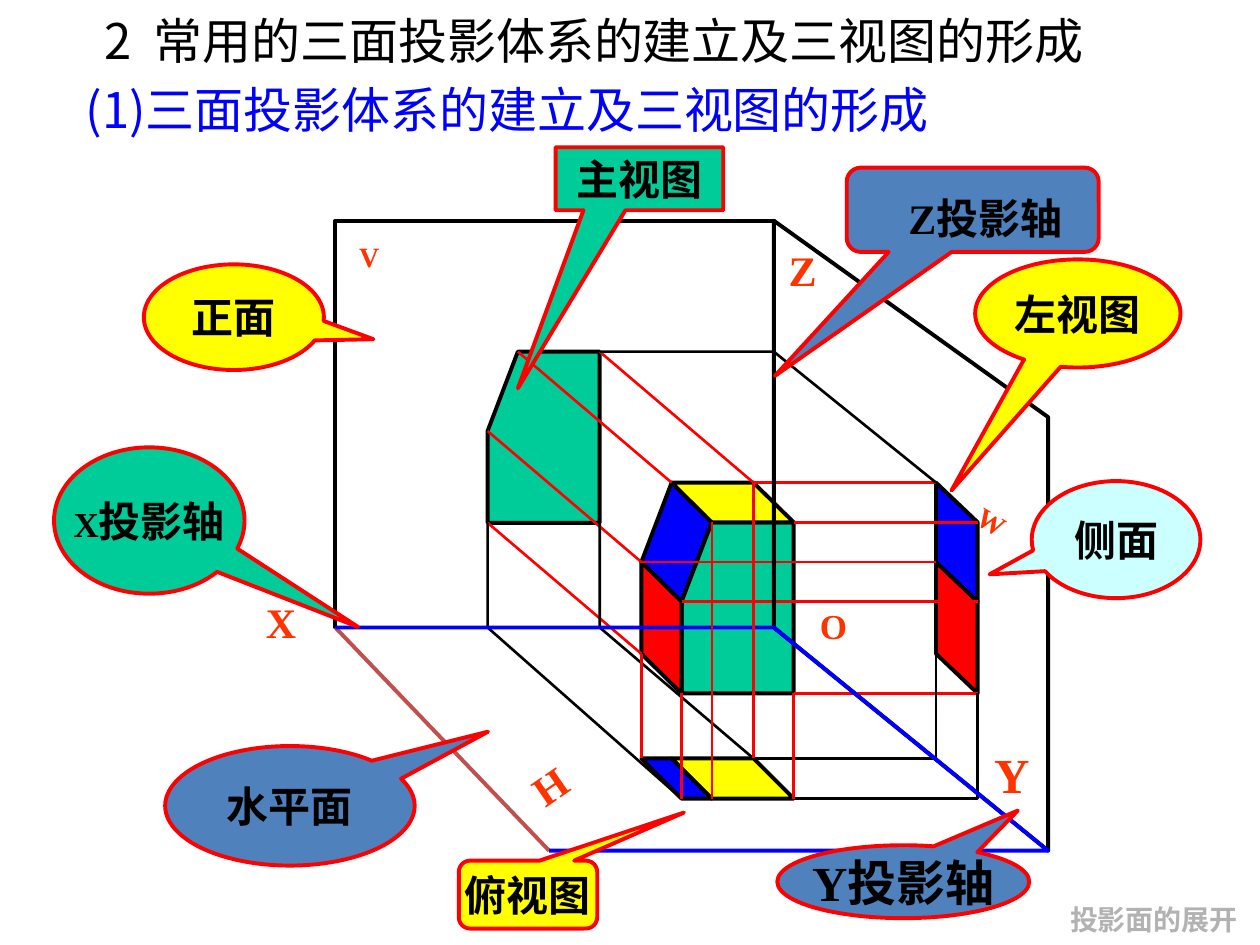
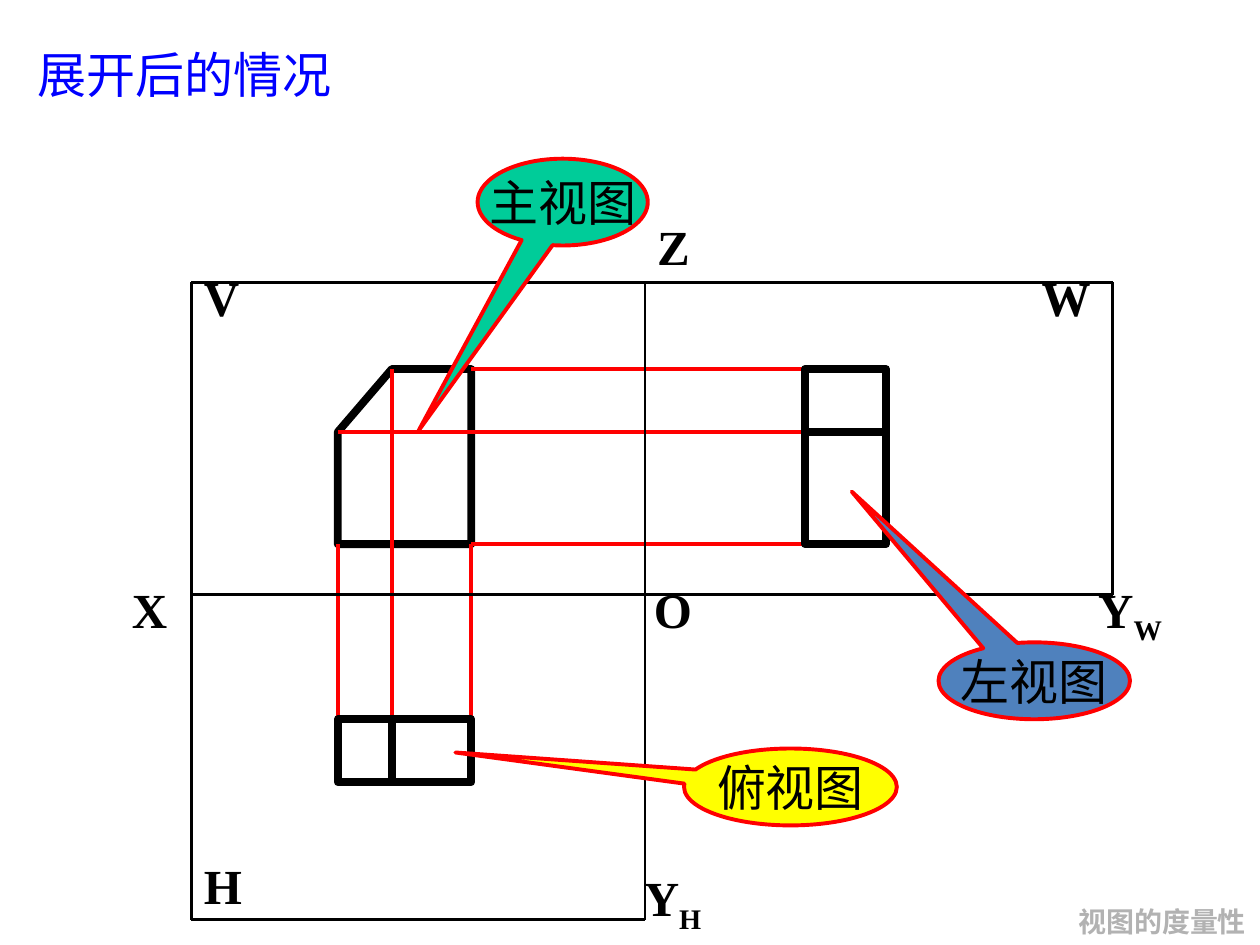
from dataclasses import dataclass

from lxml.etree import SubElement
from pptx import Presentation
from pptx.dml.color import RGBColor
from pptx.enum.shapes import MSO_CONNECTOR, MSO_SHAPE as Preset
from pptx.enum.text import MSO_ANCHOR as Anchor, PP_ALIGN as Align
from pptx.oxml.ns import qn
from pptx.util import Cm, Pt


@dataclass(frozen=True)
class Theme:
    black: str = "000000"
    red: str = "FF0000"
    blue: str = "0000FF"
    yellow: str = "FFFF00"
    green: str = "00CC99"
    steel: str = "4F81BD"
    pale: str = "CCFFFF"
    brick: str = "C0504D"
    orange: str = "FF3300"
    grey: str = "B2B2B2"
    sans: str = "Noto Sans CJK SC"
    serif: str = "Times New Roman"
    title: int = 28
    body: int = 24
    small: int = 20
    tiny: int = 16
    thin: float = 1.5
    edge: float = 2.25
    bold_edge: float = 4.5


T = Theme()
TITLE = dict(font=T.sans, size=T.title, bold=False)


def rgb(colour):
    return RGBColor.from_string(colour)


def add_run(paragraph, text, size, colour, font, bold, subscript=False):
    run = paragraph.add_run()
    run.text = text
    run.font.size = Pt(size)
    run.font.bold = bold
    run.font.name = font
    run.font.color.rgb = rgb(colour)
    properties = run._r.get_or_add_rPr()
    SubElement(properties, qn("a:ea")).set("typeface", T.sans)
    if subscript:
        properties.set("baseline", "-25000")


def write(shape, text, size=T.body, colour=T.black, font=T.serif, bold=True,
          align=Align.CENTER, anchor=Anchor.MIDDLE, wrap=False):
    """Fill a shape with text and return its paragraph for further runs."""
    frame = shape.text_frame
    frame.word_wrap = wrap
    frame.vertical_anchor = anchor
    paragraph = frame.paragraphs[0]
    paragraph.alignment = align
    add_run(paragraph, text, size, colour, font, bold)
    return paragraph


def textbox(slide, box, text, **style):
    shape = slide.shapes.add_textbox(*map(Cm, box))
    return shape, write(shape, text, **style)


def axis_label(slide, left, top, text, size=T.body, colour=T.orange,
               width=1.9, height=1.27, turn=0, align=Align.LEFT):
    shape, paragraph = textbox(
        slide, (left, top, width, height), text, size=size, colour=colour,
        align=align, anchor=Anchor.TOP, wrap=True)
    shape.rotation = turn
    return paragraph


def next_step(slide, left, top, text):
    textbox(slide, (left, top, 3.94, 0.94), text, size=T.tiny, colour=T.grey)


def stroke(shape, colour, width):
    shape.line.color.rgb = rgb(colour)
    shape.line.width = Pt(width)


def segment(slide, start, end, colour=T.red, width=T.thin):
    line = slide.shapes.add_connector(
        MSO_CONNECTOR.STRAIGHT, *map(Cm, (*start, *end)))
    stroke(line, colour, width)
    SubElement(line._element.spPr, qn("a:effectLst"))


def outline(slide, points, fill=None, colour=T.black, width=T.edge, close=True):
    first, *rest = [(Cm(x), Cm(y)) for x, y in points]
    builder = slide.shapes.build_freeform(*first)
    builder.add_line_segments(rest, close=close)
    shape = builder.convert_to_shape()
    shape.shadow.inherit = False
    stroke(shape, colour, width)
    if fill:
        shape.fill.solid()
        shape.fill.fore_color.rgb = rgb(fill)
    else:
        shape.fill.background()


def callout(slide, box, tip, fill, text=None, preset=Preset.OVAL_CALLOUT, **style):
    """Draw a callout whose tail ends at the point tip."""
    left, top, width, height = box
    shape = slide.shapes.add_shape(preset, *map(Cm, box))
    shape.adjustments[0] = (tip[0] - left) / width - 0.5
    shape.adjustments[1] = (tip[1] - top) / height - 0.5
    shape.shadow.inherit = False
    shape.fill.solid()
    shape.fill.fore_color.rgb = rgb(fill)
    stroke(shape, T.red, T.edge)
    return write(shape, text, **style) if text else None


def shifted(corners, dx, dy):
    return {name: (x + dx, y + dy) for name, (x, y) in corners.items()}


def draw_projection(slide):
    """Draw the solid between the planes V, H and W with its three views."""
    origin, x_end, y_end = (15.6, 12.65), (6.76, 12.65), (21.13, 17.15)
    z_end, h_corner = (15.6, 4.45), (11.07, 17.15)
    back = {"peak": (13.54, 9.73), "right": (15.19, 9.73), "slope": (12.93, 11.33),
            "foot": (12.93, 13.18), "foot_right": (15.19, 13.18)}
    front = shifted(back, 0.81, 0.8)
    main_view = shifted(back, -3.1, -2.64)

    def in_plan(corner, depth):
        return corner[0], 15.29 if depth is back else 16.1

    def in_side(name, depth):
        return 18.87 if depth is back else 19.71, depth[name][1]

    def face(names):
        """Quadrilateral joining two back corners to the same front corners."""
        a, b = names
        return [back[a], back[b], front[b], front[a]]

    profile = ("peak", "right", "foot_right", "foot", "slope")
    outline(slide, face(("peak", "slope")), T.blue)
    outline(slide, [front[n] for n in profile], T.green)
    outline(slide, face(("peak", "right")), T.yellow)
    outline(slide, face(("slope", "foot")), T.red)
    outline(slide, [main_view[n] for n in profile], T.green)
    outline(slide, [x_end, (x_end[0], z_end[1]), z_end, origin])

    for name in ("slope", "peak", "right", "foot"):
        segment(slide, back[name], main_view[name])
    for pair, fill in ((("peak", "right"), T.yellow), (("slope", "peak"), T.blue)):
        a, b = pair
        outline(slide, [in_plan(back[a], back), in_plan(back[b], back),
                        in_plan(front[b], front), in_plan(front[a], front)], fill)
    for pair, fill in ((("slope", "foot"), T.red), (("peak", "slope"), T.blue)):
        a, b = pair
        outline(slide, [in_side(a, back), in_side(b, back),
                        in_side(b, front), in_side(a, front)], fill)
    for name, depth in (("foot_right", front), ("slope", back), ("right", back),
                        ("slope", front), ("right", front)):
        segment(slide, depth[name], in_side(name, depth))

    foot, foot_right = main_view["foot"], main_view["foot_right"]
    plan_right = in_plan(back["right"], back)
    plan_front = in_plan(front["right"], front)
    side_back, side_front = in_side("foot", back), in_side("foot", front)
    for path in (
        [foot, (foot[0], origin[1]), in_plan(front["slope"], front)],
        [foot_right, (foot_right[0], origin[1]), plan_right],
        [main_view["right"], (origin[0], main_view["right"][1]), in_side("peak", back)],
        [side_back, (side_back[0], plan_right[1]), plan_right],
        [side_front, (side_front[0], plan_front[1]), plan_front],
    ):
        outline(slide, path, width=T.thin, close=False)

    outline(slide, [origin, y_end, (y_end[0], 8.41), z_end])
    segment(slide, h_corner, x_end, T.brick, T.edge)
    outline(slide, [x_end, origin, y_end, h_corner], colour=T.blue, close=False)
    for name, depth in (("foot_right", front), ("right", back), ("foot", back),
                        ("foot", front), ("peak", front)):
        segment(slide, depth[name], in_plan(depth[name], depth))


def projection_slide(slide):
    draw_projection(slide)
    textbox(slide, (1.6, 0.08, 20.75, 1.45),
            "2  常用的三面投影体系的建立及三视图的形成", **TITLE)
    textbox(slide, (1.32, 1.47, 17.81, 1.45),
            "(1)三面投影体系的建立及三视图的形成", colour=T.blue, **TITLE)

    axis_label(slide, 16.28, 12.07, "O", T.small)
    axis_label(slide, 6.99, 4.7, "V", T.tiny)
    callout(slide, (2.9, 5.33, 3.63, 2.13), (7.53, 6.84), T.yellow, "正面")
    callout(slide, (11.2, 2.97, 3.38, 1.27), (10.44, 7.83), T.green, "主视图",
            Preset.RECTANGULAR_CALLOUT)
    callout(slide, (19.66, 5.23, 4.14, 2.18), (19.18, 9.89), T.yellow, "左视图")
    callout(slide, (15.67, 17.04, 5.08, 1.47), (20.52, 16.34), T.steel, "Y投影轴",
            size=T.title)
    axis_label(slide, 19.79, 14.88, "Y", T.title)
    axis_label(slide, 15.65, 4.8, "Z")
    callout(slide, (17.07, 3.38, 5.08, 1.7), (15.62, 7.58), T.steel,
            preset=Preset.ROUNDED_RECTANGULAR_CALLOUT)
    textbox(slide, (18.06, 3.76, 3.61, 1.27), "Z投影轴", wrap=True)
    callout(slide, (20.8, 9.7, 3.4, 2.36), (19.95, 11.58), T.pale, "侧面")
    axis_label(slide, 19.46, 10.06, "W", T.tiny, width=1.09, height=0.94, turn=31.2)
    x_axis = callout(slide, (1.09, 9.02, 3.84, 2.95), (7.22, 12.64), T.green, "X",
                     size=T.small)
    add_run(x_axis, "投影轴", T.body, T.black, T.serif, True)
    axis_label(slide, 5.11, 11.91, "X")
    callout(slide, (3.33, 15.04, 5.03, 2.41), (9.84, 14.75), T.steel, "水平面")
    axis_label(slide, 10.44, 15.21, "H", width=1.27, turn=325.3, align=Align.CENTER)
    callout(slide, (9.25, 17.35, 2.79, 1.37), (13.79, 16.38), T.yellow, "俯视图",
            Preset.ROUNDED_RECTANGULAR_CALLOUT)
    next_step(slide, 21.29, 18.06, "投影面的展开")


def unfolded_slide(slide):
    textbox(slide, (0.51, 0.53, 9.09, 1.91), "展开后的情况", colour=T.blue,
            align=Align.LEFT, wrap=True, **TITLE)
    left, peak, right = 6.81, 7.9, 9.5
    top, slope, foot = 7.44, 8.71, 10.97
    plan_top, plan_foot = 14.5, 15.77
    side_left, side_right = 16.23, 17.86
    frame_left, z_axis, frame_right = 3.86, 13, 22.43
    frame_top, x_axis, frame_foot = 5.69, 11.99, 18.54

    outline(slide, [(left, slope), (left, foot), (right, foot), (right, top),
                    (peak, top)], width=T.bold_edge)
    for x, start in ((left, foot), (right, foot), (peak, top)):
        segment(slide, (x, start), (x, plan_top), width=T.edge)
    segment(slide, (peak, plan_top), (peak, plan_foot), T.black, T.bold_edge)
    outline(slide, [(left, plan_top), (right, plan_top), (right, plan_foot),
                    (left, plan_foot)], width=T.bold_edge)
    for y, start in ((top, right), (foot, right), (slope, left)):
        segment(slide, (start, y), (side_left, y), width=T.edge)
    outline(slide, [(side_left, top), (side_left, foot), (side_right, foot),
                    (side_right, top)], width=T.bold_edge)
    segment(slide, (side_left, slope), (side_right, slope), T.black, T.bold_edge)

    for x, end in ((frame_left, frame_foot), (z_axis, frame_foot), (frame_right, x_axis)):
        segment(slide, (x, frame_top), (x, end), T.black)
    for y, end in ((frame_top, frame_right), (x_axis, frame_right), (frame_foot, z_axis)):
        segment(slide, (frame_left, y), (end, y), T.black)

    for x, y, letter, index in (
        (20.75, 5.26, "W", ""), (3.86, 17.12, "H", ""), (3.86, 5.26, "V", ""),
        (12.93, 11.56, "O", ""), (2.41, 11.56, "X", ""), (13, 4.24, "Z", ""),
        (12.73, 17.37, "Y", "H"), (21.89, 11.56, "Y", "W"),
    ):
        label = axis_label(slide, x, y, letter, T.title, T.black, height=1.45)
        if index:
            add_run(label, index, T.title, T.black, T.serif, True, subscript=True)

    for box, tip, fill, view in (
        ((9.63, 3.2, 3.43, 1.75), (8.44, 8.68), T.green, "主视图"),
        ((13.79, 15.09, 4.29, 1.55), (9.18, 15.17), T.yellow, "俯视图"),
        ((18.92, 12.95, 3.86, 1.55), (17.17, 9.91), T.steel, "左视图"),
    ):
        callout(slide, box, tip, fill, view, **TITLE)
    next_step(slide, 21.46, 18.11, "视图的度量性")


def main():
    deck = Presentation()
    deck.slide_width, deck.slide_height = Cm(25.4), Cm(19.05)
    blank = deck.slide_layouts[6]
    for build in (projection_slide, unfolded_slide):
        build(deck.slides.add_slide(blank))
    deck.save("out.pptx")


if __name__ == "__main__":
    main()
